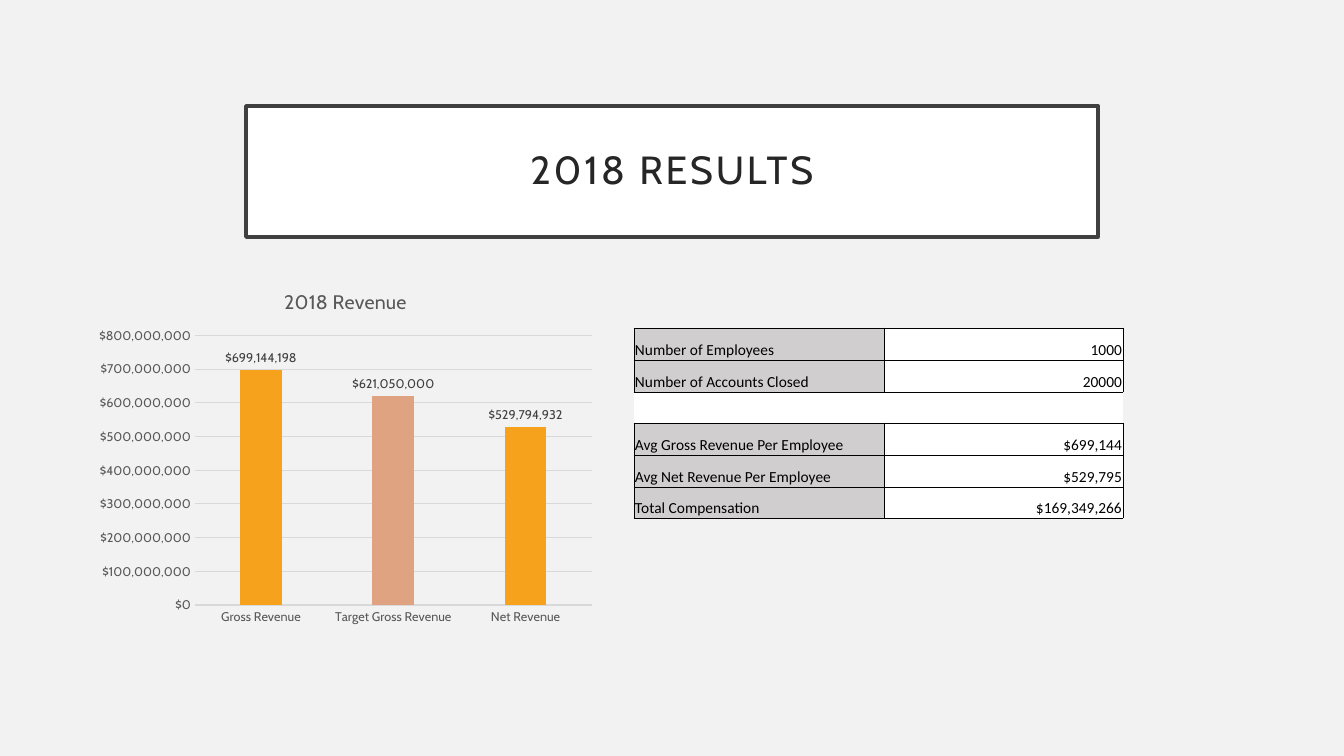
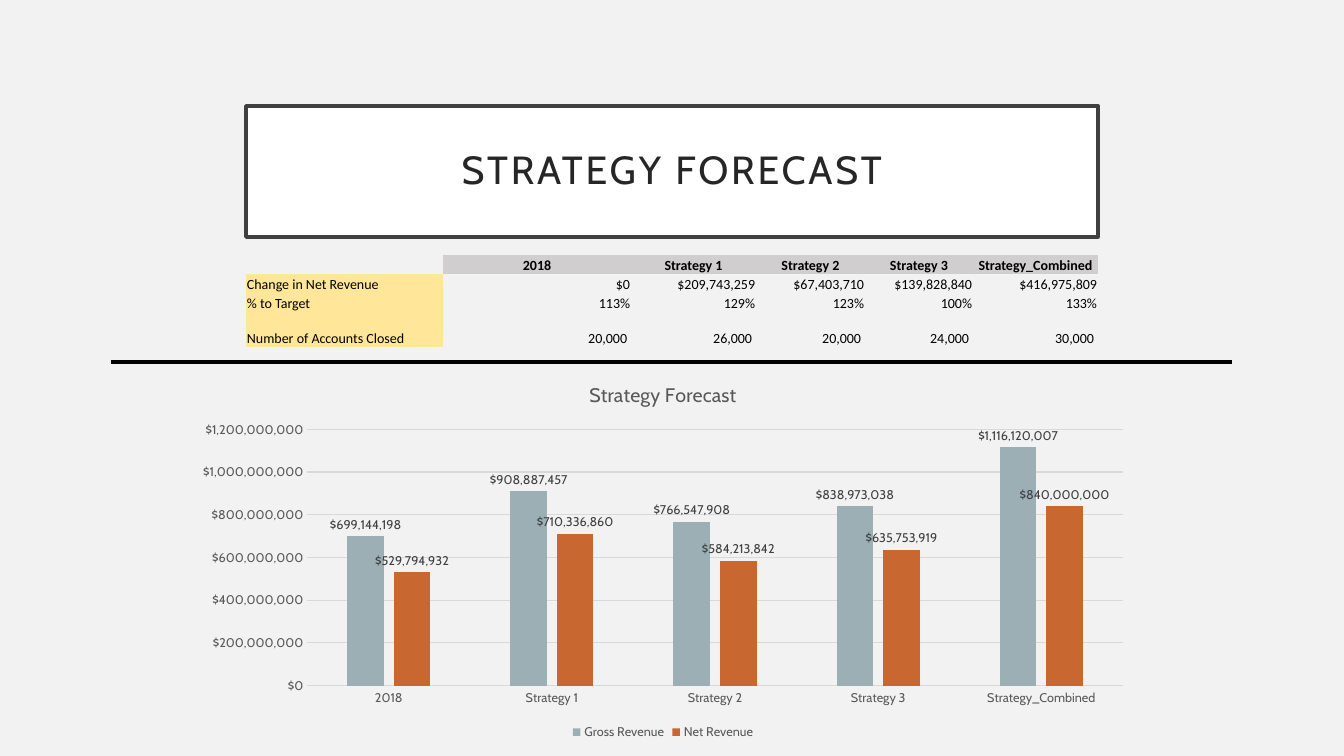
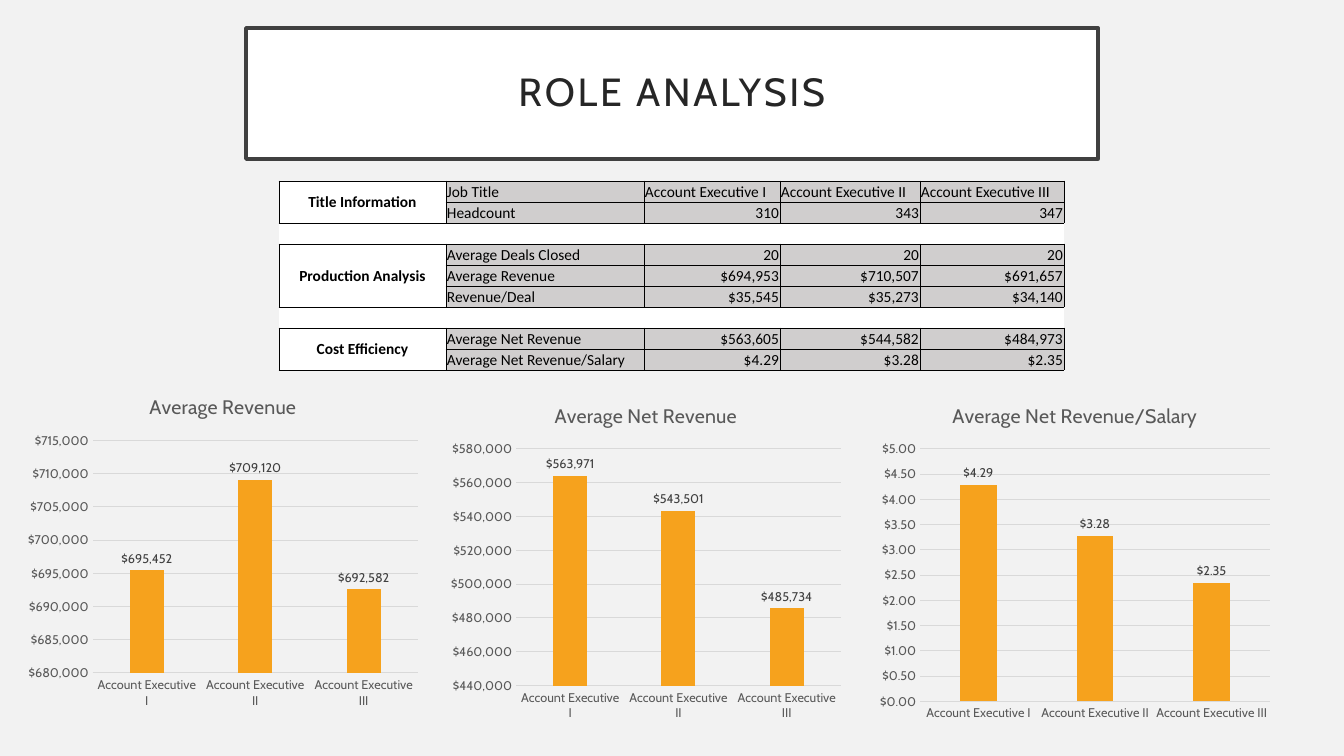
"""Build a three-slide deck on revenue results, strategy forecast and role analysis."""
from lxml import etree
from pptx import Presentation
from pptx.chart.data import CategoryChartData
from pptx.dml.color import RGBColor
from pptx.enum.chart import XL_CHART_TYPE, XL_LABEL_POSITION, XL_LEGEND_POSITION, XL_TICK_MARK
from pptx.enum.shapes import MSO_CONNECTOR
from pptx.enum.text import MSO_ANCHOR, PP_ALIGN
from pptx.oxml.ns import qn
from pptx.util import Emu, Pt

COLUMNS = XL_CHART_TYPE.COLUMN_CLUSTERED
OUTSIDE = XL_LABEL_POSITION.OUTSIDE_END
LEGEND_BOTTOM = XL_LEGEND_POSITION.BOTTOM
NO_TICK = XL_TICK_MARK.NONE
STRAIGHT = MSO_CONNECTOR.STRAIGHT
MIDDLE, BOTTOM = MSO_ANCHOR.MIDDLE, MSO_ANCHOR.BOTTOM
LEFT, CENTER, RIGHT = PP_ALIGN.LEFT, PP_ALIGN.CENTER, PP_ALIGN.RIGHT

PAPER = RGBColor(0xF2, 0xF2, 0xF2)
WHITE = RGBColor(0xFF, 0xFF, 0xFF)
BLACK = RGBColor(0x00, 0x00, 0x00)
INK = RGBColor(0x26, 0x26, 0x26)
FRAME = RGBColor(0x40, 0x40, 0x40)
AXIS_TEXT = RGBColor(0x59, 0x59, 0x59)
GRID = RGBColor(0xD9, 0xD9, 0xD9)
GRAY = RGBColor(0xD0, 0xCE, 0xCE)
YELLOW = RGBColor(0xFF, 0xE6, 0x99)
ORANGE = RGBColor(0xF6, 0xA2, 0x1D)
SALMON = RGBColor(0xE0, 0xA3, 0x82)
SLATE = RGBColor(0x9B, 0xAF, 0xB5)
RUST = RGBColor(0xC9, 0x67, 0x31)

HEAD_FONT, TABLE_FONT = "Cabin", "Calibri"
DOLLARS, CENTS = '"$"#,##0', '"$"#,##0.00'
NO_STYLE = "{2D5ABB26-0587-4C30-8999-92F81FD0307C}"
SCALE = 12192000 / 1344


def px(n):
    return Emu(round(n * SCALE))


def set_font(font, name, size, color, bold=False):
    font.name = name
    font.size = Pt(size)
    font.color.rgb = color
    font.bold = bold


ROLES = ["Account Executive I", "Account Executive II", "Account Executive III"]
STRATEGIES = ["2018", "Strategy 1", "Strategy 2", "Strategy 3", "Strategy_Combined"]

DECK = [
    dict(
        title="2018 RESULTS", top=106,
        charts=[
            dict(title="2018 Revenue", box=(89, 272, 513, 360), fmt=DOLLARS,
                 scale=(0, 800000000, 100000000),
                 cats=["Gross Revenue", "Target Gross Revenue", "Net Revenue"],
                 series=[("Series 1", [699144198, 621050000, 529794932], ORANGE)],
                 points={1: SALMON}),
        ],
        table=dict(
            at=(634, 328), cols=[250, 239], heights=[32, 32, 31, 32, 32, 31],
            size=11, lead=GRAY, body=WHITE, head=None, border=True, groups=[],
            rows=[
                ["Number of Employees", "1000"],
                ["Number of Accounts Closed", "20000"],
                ["", ""],
                ["Avg Gross Revenue Per Employee", "$699,144"],
                ["Avg Net Revenue Per Employee", "$529,795"],
                ["Total Compensation", "$169,349,266"],
            ]),
    ),
    dict(
        title="STRATEGY FORECAST", top=106,
        charts=[
            dict(title="Strategy Forecast", box=(184, 365, 958, 379), fmt=DOLLARS,
                 scale=(0, 1200000000, 200000000), cats=STRATEGIES,
                 series=[
                     ("Gross Revenue",
                      [699144198, 908887457, 766547908, 838973038, 1116120007], SLATE),
                     ("Net Revenue",
                      [529794932, 710336860, 584213842, 635753919, 840000000], RUST),
                 ]),
        ],
        table=dict(
            at=(246, 255), cols=[197, 188, 125, 109, 108, 125], heights=[19, 19, 19, 35],
            size=10, lead=YELLOW, body=None, head=GRAY, border=False, groups=[],
            rows=[
                ["", *STRATEGIES],
                ["Change in Net Revenue", "$0", "$209,743,259", "$67,403,710",
                 "$139,828,840", "$416,975,809"],
                ["% to Target", "113%", "129%", "123%", "100%", "133%"],
                ["Number of Accounts Closed", "20,000", "26,000", "20,000", "24,000", "30,000"],
            ],
            indented_row=3),
    ),
    dict(
        title="ROLE ANALYSIS", top=28,
        charts=[
            dict(title="Average Revenue", box=(20, 378, 406, 337), fmt=DOLLARS,
                 scale=(680000, 715000, 5000), cats=ROLES,
                 series=[("Average Revenue", [695452, 709120, 692582], ORANGE)]),
            dict(title="Average Net Revenue", box=(443, 386, 406, 342), fmt=DOLLARS,
                 scale=(440000, 580000, 20000), cats=ROLES,
                 series=[("Average Net Revenue", [563971, 543501, 485734], ORANGE)]),
            dict(title="Average Net Revenue/Salary", box=(872, 386, 406, 342), fmt=CENTS,
                 scale=(0, 5, 0.5), cats=ROLES,
                 series=[("Average Net Revenue/Salary", [4.29, 3.28, 2.35], ORANGE)]),
        ],
        table=dict(
            at=(279, 181), cols=[167, 198, 136, 140, 144], heights=[21] * 9,
            size=11, lead=WHITE, body=GRAY, head=None, border=True,
            groups=[(0, 1), (3, 5), (7, 8)],
            rows=[
                ["Title Information", "Job Title", *ROLES],
                ["", "Headcount", "310", "343", "347"],
                [""] * 5,
                ["Production Analysis", "Average Deals Closed", "20", "20", "20"],
                ["", "Average Revenue", "$694,953", "$710,507", "$691,657"],
                ["", "Revenue/Deal", "$35,545", "$35,273", "$34,140"],
                [""] * 5,
                ["Cost Efficiency", "Average Net Revenue", "$563,605", "$544,582", "$484,973"],
                ["", "Average Net Revenue/Salary", "$4.29", "$3.28", "$2.35"],
            ]),
    ),
]

prs = Presentation()
prs.slide_width, prs.slide_height = px(1344), px(756)
master_fill = prs.slide_master.background.fill
master_fill.solid()
master_fill.fore_color.rgb = PAPER

for page in DECK:
    slide = prs.slides.add_slide(prs.slide_layouts[5])

    sp = slide.shapes.title
    sp.left, sp.top, sp.width, sp.height = px(246), px(page["top"]), px(852), px(131)
    sp.fill.solid()
    sp.fill.fore_color.rgb = WHITE
    sp.line.color.rgb = FRAME
    sp.line.width = Pt(2.5)
    tf = sp.text_frame
    tf.vertical_anchor = MIDDLE
    tf.margin_left = tf.margin_right = tf.margin_top = tf.margin_bottom = px(20)
    p = tf.paragraphs[0]
    p.alignment = CENTER
    p.line_spacing = 0.9
    r = p.add_run()
    r.text = page["title"]
    set_font(r.font, HEAD_FONT, 28, INK)
    r.font._element.set("spc", "200")

    for spec_chart in page["charts"]:
        data = CategoryChartData(number_format=spec_chart["fmt"])
        data.categories = spec_chart["cats"]
        for name, values, color in spec_chart["series"]:
            data.add_series(name, values)
        box = [px(n) for n in spec_chart["box"]]
        chart = slide.shapes.add_chart(COLUMNS, *box, data).chart
        set_font(chart.font, HEAD_FONT, 10, BLACK)

        chart.has_title = True
        chart.chart_title.include_in_layout = False
        r = chart.chart_title.text_frame.paragraphs[0].add_run()
        r.text = spec_chart["title"]
        set_font(r.font, HEAD_FONT, 14, AXIS_TEXT)

        chart.has_legend = len(spec_chart["series"]) > 1
        if chart.has_legend:
            chart.legend.position = LEGEND_BOTTOM
            chart.legend.include_in_layout = False
            set_font(chart.legend.font, HEAD_FONT, 9, AXIS_TEXT)

        cat_axis, val_axis = chart.category_axis, chart.value_axis
        for axis in (cat_axis, val_axis):
            axis.major_tick_mark = axis.minor_tick_mark = NO_TICK
            set_font(axis.tick_labels.font, HEAD_FONT, 9, AXIS_TEXT)
        val_axis.format.line.fill.background()
        val_axis.has_major_gridlines = True
        for line in (cat_axis.format.line, val_axis.major_gridlines.format.line):
            line.color.rgb = GRID
            line.width = Pt(0.75)
        val_axis.minimum_scale, val_axis.maximum_scale, val_axis.major_unit = spec_chart["scale"]
        val_axis.tick_labels.number_format = spec_chart["fmt"]
        val_axis.tick_labels.number_format_is_linked = False

        plot = chart.plots[0]
        plot.gap_width, plot.overlap = 219, -27
        plot.vary_by_categories = False
        for series, (name, values, color) in zip(plot.series, spec_chart["series"]):
            series.format.fill.solid()
            series.format.fill.fore_color.rgb = color
            labels = series.data_labels
            labels.show_value = True
            labels.position = OUTSIDE
            labels.number_format = spec_chart["fmt"]
            labels.number_format_is_linked = False
            set_font(labels.font, HEAD_FONT, 9, FRAME)
            for i, point_color in spec_chart.get("points", {}).items():
                fill = series.points[i].format.fill
                fill.solid()
                fill.fore_color.rgb = point_color

    grid = page["table"]
    rows, cols, heights = grid["rows"], grid["cols"], grid["heights"]
    left, top = grid["at"]
    table = slide.shapes.add_table(len(rows), len(cols), px(left), px(top),
                                   px(sum(cols)), px(sum(heights))).table
    table.first_row = table.horz_banding = False
    table._tbl.tblPr.find(qn("a:tableStyleId")).text = NO_STYLE
    for column, width in zip(table.columns, cols):
        column.width = px(width)
    for row, height in zip(table.rows, heights):
        row.height = px(height)

    for i, row in enumerate(rows):
        blank = not any(row)
        header = i == 0 and grid["head"] is not None
        for j, text in enumerate(row):
            cell = table.cell(i, j)
            group = j == 0 and bool(grid["groups"])
            cell.margin_left = cell.margin_right = cell.margin_top = px(1)
            cell.margin_bottom = 0
            if j and i == grid.get("indented_row"):
                cell.margin_right = px(4)
            cell.vertical_anchor = MIDDLE if group else BOTTOM

            color = grid["lead"] if j == 0 else grid["body"]
            if blank:
                color = WHITE
            elif header:
                color = grid["head"] if text else None
            if color is None:
                cell.fill.background()
            else:
                cell.fill.solid()
                cell.fill.fore_color.rgb = color

            p = cell.text_frame.paragraphs[0]
            if text:
                p.alignment = CENTER if header or group else RIGHT if text[0] in "$0123456789" else LEFT
                r = p.add_run()
                r.text = text
                set_font(r.font, TABLE_FONT, grid["size"], BLACK, header or group)
            else:
                etree.SubElement(p._p, qn("a:endParaRPr"), sz=str(grid["size"] * 100))

            if grid["border"]:
                for k, side in enumerate("TB" if blank else "LRTB"):
                    ln = etree.Element(qn(f"a:ln{side}"), w=str(Pt(0.5)))
                    paint = etree.SubElement(ln, qn("a:solidFill"))
                    etree.SubElement(paint, qn("a:srgbClr"), val=str(BLACK))
                    cell._tc.tcPr.insert(k, ln)

    for first, last in grid["groups"]:
        table.cell(first, 0).merge(table.cell(last, 0))

divider = prs.slides[1].shapes.add_connector(STRAIGHT, px(111), px(362), px(1232), px(362))
divider.line.color.rgb = BLACK
divider.line.width = Pt(2.25)
etree.SubElement(divider._element.spPr, qn("a:effectLst"))

prs.save("out.pptx")
